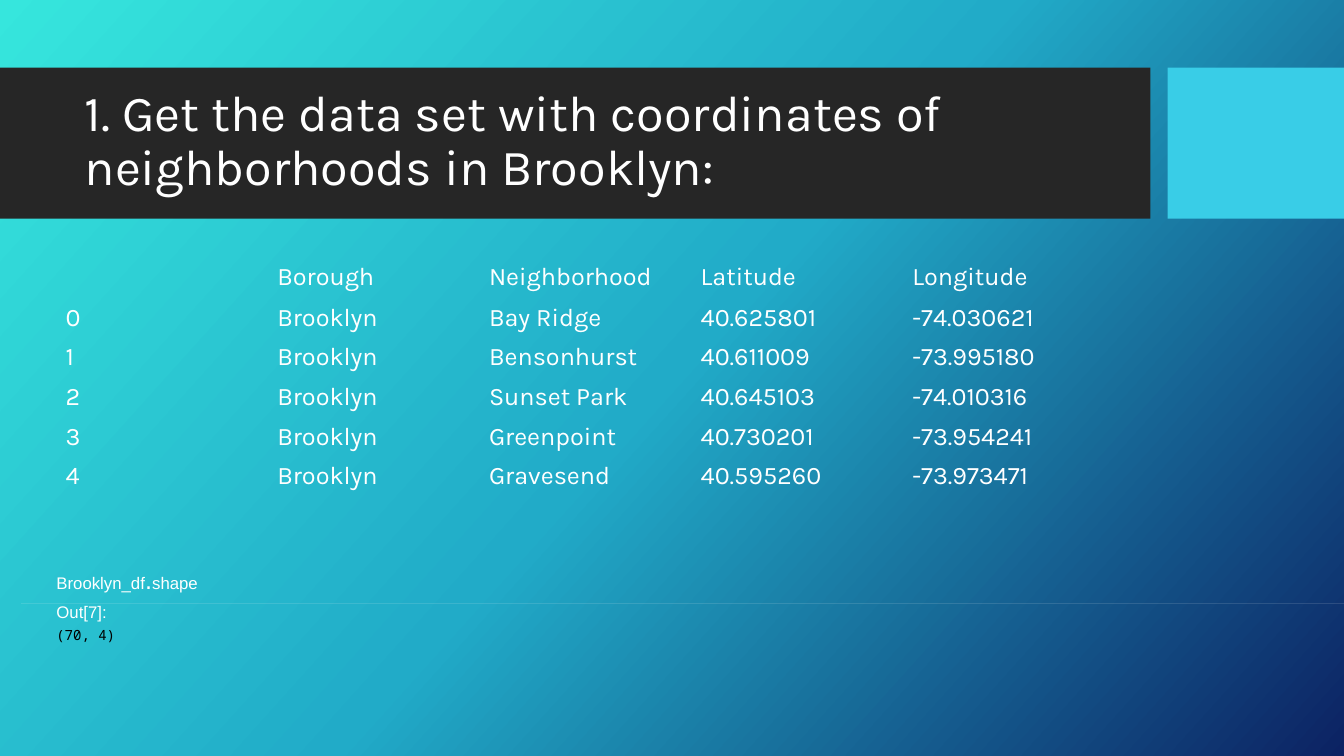
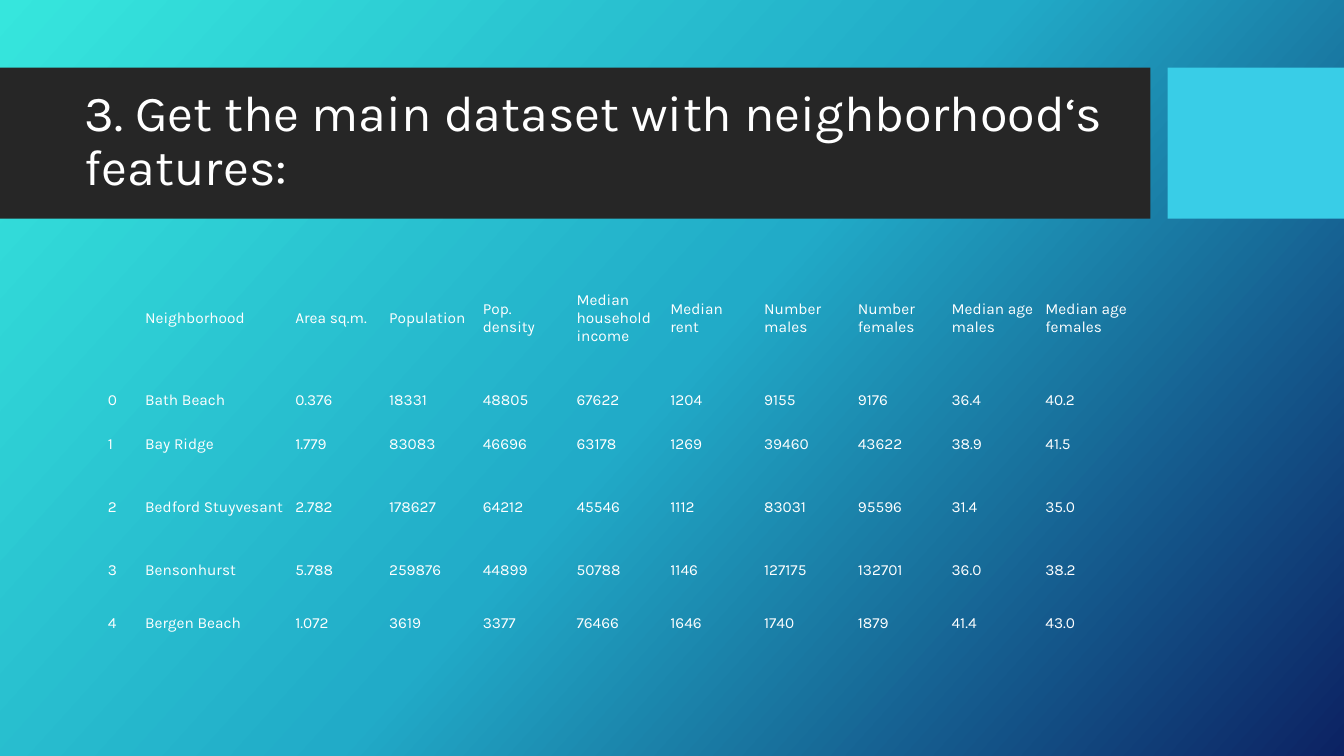
from copy import deepcopy

from pptx import Presentation
from pptx import util as u
from pptx.dml import color
from pptx.enum import shapes, text

COLORS = {
    "band": "262626", "accent": "39CDE7", "white": "FFFFFF", "black": "000000",
    "hairline": "F7F7F7",
}
BACKGROUND_STOPS = [(0, "36E6DD"), (0.5, "21ABC8"), (1, "0C2263")]
BACKGROUND_ANGLE = 42
FONT = "Karla"
PLAIN_TABLE_STYLE = "{2D5ABB26-0587-4C30-8999-92F81FD0307C}"

# Boxes: left, top, width, height in inches
BANDS = [((0, 0.67, 11.41, 1.5), "band"), ((11.58, 0.67, 1.75, 1.5), "accent")]
TITLE_BOX = (0.74, 0.82, 10.51, 1.18)


def rgb(value):
    return color.RGBColor.from_string(value)


def inches(box):
    return [u.Inches(length) for length in box]


def add_run(paragraph, words, size, font=FONT, ink="white"):
    run = paragraph.add_run()
    run.text = words
    run.font.size = u.Pt(size)
    run.font.name = font
    run.font.color.rgb = rgb(COLORS[ink])


def add_rectangle(slide, box, fill):
    shape = slide.shapes.add_shape(shapes.MSO_SHAPE.RECTANGLE, *inches(box))
    shape.shadow.inherit = False
    shape.fill.solid()
    shape.fill.fore_color.rgb = rgb(COLORS[fill])
    shape.line.fill.background()
    return shape


# Shared look: gradient and bands live on the master
def style_master(master, slide):
    fill = master.background.fill
    fill.gradient()
    fill.gradient_angle = 360 - BACKGROUND_ANGLE
    stop_list = master.element.xpath("./p:cSld/p:bg//a:gsLst")[0]
    stop_list.append(deepcopy(stop_list[-1]))
    for stop, (position, value) in zip(fill.gradient_stops, BACKGROUND_STOPS):
        stop.position = position
        stop.color.rgb = rgb(value)

    for index, (box, fill_name) in enumerate(BANDS):
        band = add_rectangle(slide, box, fill_name)
        band.element.xpath("./p:nvSpPr/p:cNvPr")[0].set("id", str(101 + index))
        master.shapes.element.insert(2 + index, band.element)


def set_title(slide, words, box=TITLE_BOX):
    title = slide.shapes.title
    title.left, title.top, title.width, title.height = inches(box)
    frame = title.text_frame
    frame.word_wrap = True
    frame.auto_size = text.MSO_AUTO_SIZE.NONE
    frame.vertical_anchor = text.MSO_ANCHOR.MIDDLE
    paragraph = frame.paragraphs[0]
    paragraph.alignment = text.PP_ALIGN.LEFT
    paragraph.line_spacing = 0.9
    add_run(paragraph, words, 36)


# Plain table without fills or borders
def add_data_table(slide, origin, rows, widths, heights, size,
                   margins=(0.1, 0.05), anchor=text.MSO_ANCHOR.TOP):
    box = (*origin, sum(widths), sum(heights))
    graphic = slide.shapes.add_table(len(rows), len(widths), *inches(box))
    graphic.element.xpath(".//a:tableStyleId")[0].text = PLAIN_TABLE_STYLE
    table = graphic.table
    table.first_row = table.horz_banding = False
    for column, width in zip(table.columns, widths):
        column.width = u.Inches(width)
    for row, height in zip(table.rows, heights):
        row.height = u.Inches(height)
    for row, values in zip(table.rows, rows):
        for cell, value in zip(row.cells, values):
            cell.fill.background()
            cell.margin_left = cell.margin_right = u.Inches(margins[0])
            cell.margin_top = cell.margin_bottom = u.Inches(margins[1])
            cell.vertical_anchor = anchor
            if value:
                add_run(cell.text_frame.paragraphs[0], value, size)


# Code output, centred on a hairline
def add_code_output(slide, box):
    hairline = add_rectangle(slide, box, "hairline")
    frame = hairline.text_frame
    frame.word_wrap = False
    frame.auto_size = text.MSO_AUTO_SIZE.SHAPE_TO_FIT_TEXT
    frame.vertical_anchor = text.MSO_ANCHOR.MIDDLE
    frame.margin_left = frame.margin_right = u.Inches(0.35)
    frame.margin_top = frame.margin_bottom = u.Inches(0.17)
    lines = [
        (5.5, [("Brooklyn_df", 12, "Arial", "white"), (".", 18, "Arial", "white"),
               ("shape", 12, "Arial", "white")]),
        (5.5, [("Out[7]:", 12, "Arial", "white")]),
        (3, [("(70, 4)", 10, "Noto Sans Mono", "black")]),
    ]
    for index, (space, runs) in enumerate(lines):
        paragraph = frame.add_paragraph() if index else frame.paragraphs[0]
        paragraph.alignment = text.PP_ALIGN.LEFT
        paragraph.space_before = u.Pt(space)
        for run in runs:
            add_run(paragraph, *run)


def build_coordinates(slide):
    set_title(slide, "1. Get the data set with coordinates of neighborhoods in Brooklyn:")
    places = [
        ("Bay Ridge", "40.625801", "-74.030621"),
        ("Bensonhurst", "40.611009", "-73.995180"),
        ("Sunset Park", "40.645103", "-74.010316"),
        ("Greenpoint", "40.730201", "-73.954241"),
        ("Gravesend", "40.595260", "-73.973471"),
    ]
    rows = [("", "Borough", "Neighborhood", "Latitude", "Longitude")]
    rows += [(str(index), "Brooklyn", *place) for index, place in enumerate(places)]
    add_data_table(slide, (0.55, 2.55), rows, [2.1] * 5, [0.39] * 6, 18)
    add_code_output(slide, (0.21, 5.99, 13.33, 0))


def build_features(slide):
    set_title(slide, "3. Get the main dataset with neighborhood‘s features:")
    rows = [
        ("", "Neighborhood", "Area sq.m.", "Population", "Pop. density",
         "Median household income", "Median rent", "Number males",
         "Number females", "Median age males", "Median age females"),
        ("0", "Bath Beach", "0.376", "18331", "48805", "67622", "1204",
         "9155", "9176", "36.4", "40.2"),
        ("1", "Bay Ridge", "1.779", "83083", "46696", "63178", "1269",
         "39460", "43622", "38.9", "41.5"),
        ("2", "Bedford Stuyvesant", "2.782", "178627", "64212", "45546", "1112",
         "83031", "95596", "31.4", "35.0"),
        ("3", "Bensonhurst", "5.788", "259876", "44899", "50788", "1146",
         "127175", "132701", "36.0", "38.2"),
        ("4", "Bergen Beach", "1.072", "3619", "3377", "76466", "1646",
         "1740", "1879", "41.4", "43.0"),
    ]
    add_data_table(slide, (1.01, 2.56), rows, [0.37, 1.49] + [0.93] * 9,
                   [1.19, 0.44, 0.44, 0.81, 0.44, 0.62], 11,
                   margins=(0.06, 0.03), anchor=text.MSO_ANCHOR.MIDDLE)


presentation = Presentation()
presentation.slide_width = u.Inches(13.33)
presentation.slide_height = u.Inches(7.5)
title_only = presentation.slide_layouts[5]
for number, build in enumerate([build_coordinates, build_features]):
    slide = presentation.slides.add_slide(title_only)
    if number == 0:
        style_master(presentation.slide_master, slide)
    build(slide)
presentation.save("out.pptx")
